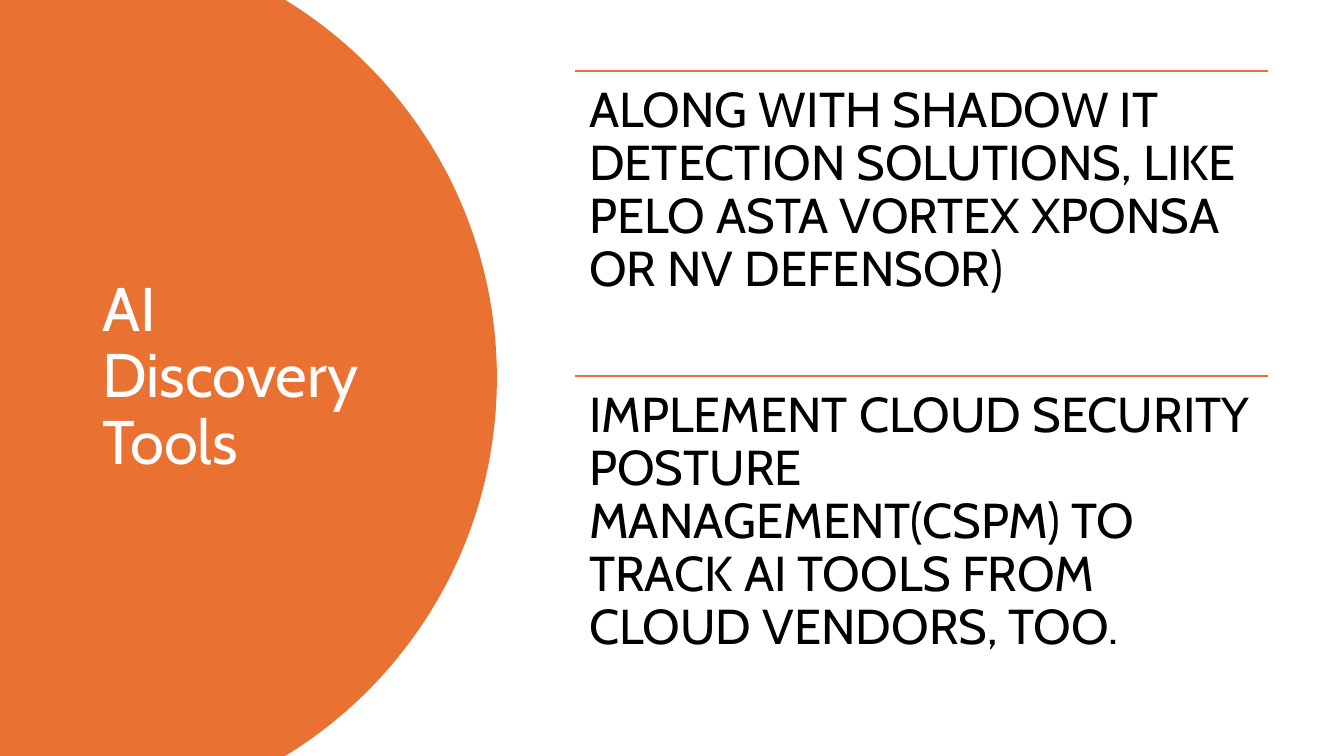
from pptx import Presentation
from pptx.dml.color import RGBColor
from pptx.enum.shapes import MSO_CONNECTOR as Conn
from pptx.enum.text import MSO_ANCHOR as Anchor
from pptx.util import Pt
from lxml import etree

TITLE = "AI Discovery Tools"
POINTS = [
    "ALONG WITH SHADOW IT DETECTION SOLUTIONS, LIKE PELO ASTA VORTEX XPONSA OR NV DEFENSOR)",
    "IMPLEMENT CLOUD SECURITY POSTURE MANAGEMENT(CSPM) TO TRACK AI TOOLS FROM CLOUD VENDORS, TOO.",
]
ORANGE = RGBColor(0xE9, 0x71, 0x32)
WHITE = RGBColor(0xFF, 0xFF, 0xFF)
BLACK = RGBColor(0, 0, 0)
FONT = "Cabin"
WIDE, HIGH = 960, 540
ARC = [(203.76, 0), (294.48, 55.44), (354.96, 155.52), (354.96, 270)]
STEPS = 48
LEFT, TOP, SPAN, ROW = 410.4, 50.6, 495.2, 217.8


def bend(t):
    u = 1 - t
    parts = (u ** 3, 3 * u * u * t, 3 * u * t * t, t ** 3)
    return tuple(sum(w * p[axis] for w, p in zip(parts, ARC)) for axis in (0, 1))


def write(text, box, size, color, inset=None, anchor=Anchor.TOP):
    frame = slide.shapes.add_textbox(*map(Pt, box)).text_frame
    frame.word_wrap = True
    frame.vertical_anchor = anchor
    if inset is not None:
        frame.margin_left = frame.margin_right = Pt(inset)
        frame.margin_top = frame.margin_bottom = Pt(inset)
    frame.text = text
    para = frame.paragraphs[0]
    para.line_spacing = 0.9
    font = para.runs[0].font
    font.name, font.size, font.color.rgb = FONT, Pt(size), color


def rule(y):
    line = slide.shapes.add_connector(
        Conn.STRAIGHT, Pt(LEFT), Pt(y), Pt(LEFT + SPAN), Pt(y))
    line.line.color.rgb = ORANGE
    line.line.width = Pt(1.5)
    props = line._element.spPr
    etree.SubElement(props, props.tag.split("}")[0].replace(
        "presentationml", "drawingml").replace("2006/main", "2006/main") + "}effectLst")


deck = Presentation()
deck.slide_width, deck.slide_height = Pt(WIDE), Pt(HIGH)
slide = deck.slides.add_slide(deck.slide_layouts[6])

upper = [bend(i / STEPS) for i in range(STEPS + 1)]
lower = [(x, HIGH - y) for x, y in reversed(upper[:-1])]
pen = slide.shapes.build_freeform(0, 0, scale=Pt(1) / 100)
pen.add_line_segments(
    [(round(x * 100), round(y * 100)) for x, y in upper + lower + [(0, HIGH)]])
dome = pen.convert_to_shape()
dome.shadow.inherit = False
dome.fill.solid()
dome.fill.fore_color.rgb = ORANGE
dome.line.fill.background()

write(TITLE, (66, 50.6, 232.6, 438.8), 44, WHITE, anchor=Anchor.MIDDLE)
for i, text in enumerate(POINTS):
    y = TOP + i * ROW
    rule(y)
    write(text, (LEFT, y, SPAN, ROW), 35, BLACK, inset=10.5)

deck.save("out.pptx")
